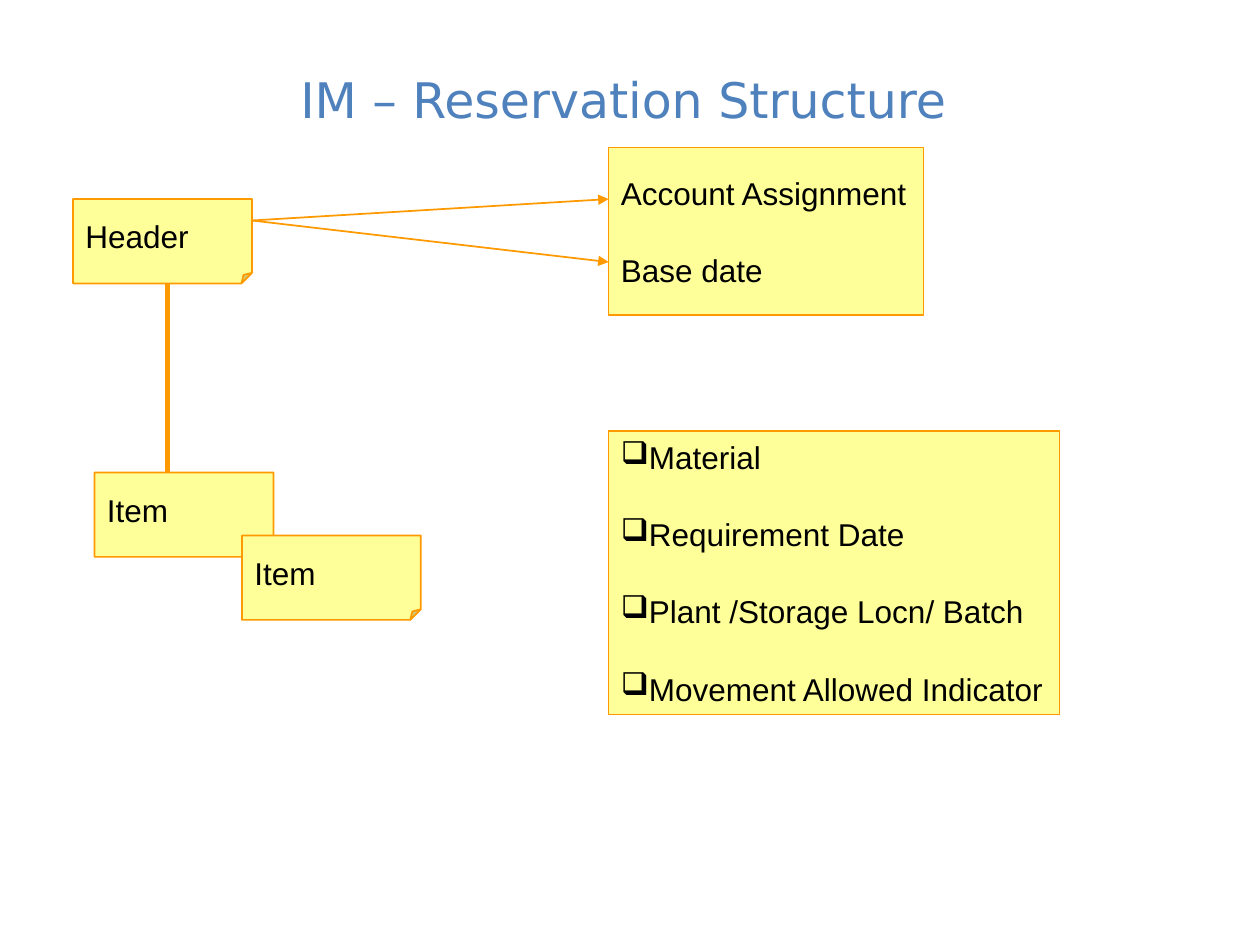
from pptx import Presentation
from pptx.dml.color import RGBColor
from pptx.enum.shapes import MSO_CONNECTOR, MSO_SHAPE
from pptx.enum.text import MSO_ANCHOR, PP_ALIGN
from pptx.oxml.ns import qn
from pptx.util import Inches, Pt
from lxml import etree

RECTANGLE = MSO_SHAPE.RECTANGLE
FOLDED_CORNER = MSO_SHAPE.FOLDED_CORNER
STRAIGHT = MSO_CONNECTOR.STRAIGHT
MIDDLE = MSO_ANCHOR.MIDDLE
LEFT = PP_ALIGN.LEFT
CENTER = PP_ALIGN.CENTER

COLORS = {
    "title": "4F81BD",
    "text": "000000",
    "note": "FFFF99",
    "accent": "FF9900",
}
CARD_SIZE = (1.42, 0.67)


def color(name):
    return RGBColor.from_string(COLORS[name])


def write_text(frame, lines, size=18, font="Arial", ink="text",
               align=LEFT, wrap=False, gap=0, bullet=None):
    frame.word_wrap = wrap
    frame.vertical_anchor = MIDDLE
    for index, line in enumerate(lines):
        para = frame.add_paragraph() if index else frame.paragraphs[0]
        para.alignment = align
        if index:
            para.space_before = Pt(gap)
        if bullet:
            properties = para._p.get_or_add_pPr()
            etree.SubElement(properties, qn("a:buChar")).set("char", bullet)
        span = para.add_run()
        span.text = line
        span.font.size = Pt(size)
        span.font.name = font
        span.font.color.rgb = color(ink)


def add_title(page, box, text):
    title = page.shapes.add_textbox(*map(Inches, box))
    write_text(title.text_frame, [text], size=28, font="DejaVu Sans",
               ink="title", align=CENTER, wrap=True)


def add_note(page, box, lines, kind=RECTANGLE, **text_format):
    note = page.shapes.add_shape(kind, *map(Inches, box))
    note.shadow.inherit = False
    note.fill.solid()
    note.fill.fore_color.rgb = color("note")
    note.line.color.rgb = color("accent")
    note.line.width = Pt(1)
    write_text(note.text_frame, lines, **text_format)
    return note


def add_card(page, box, text):
    card = add_note(page, box, [text], kind=FOLDED_CORNER)
    guides = card._element.spPr.find(qn("a:prstGeom")).find(qn("a:avLst"))
    for guide in list(guides):
        guides.remove(guide)
    fold = etree.SubElement(guides, qn("a:gd"))
    fold.set("name", "adj")
    fold.set("fmla", "val 12500")


def add_line(page, start, end, width=1, arrow=False):
    line = page.shapes.add_connector(STRAIGHT, *map(Inches, start + end))
    line.line.color.rgb = color("accent")
    line.line.width = Pt(width)
    if arrow:
        outline = line.line._get_or_add_ln()
        etree.SubElement(outline, qn("a:tailEnd")).set("type", "triangle")
    etree.SubElement(line._element.spPr, qn("a:effectLst"))


def add_hierarchy(page, left, top):
    cards = [("Header", 0, 0), ("Item", 0.17, 2.17), ("Item", 1.34, 2.67)]
    for text, across, down in cards:
        add_card(page, (left + across, top + down, *CARD_SIZE), text)
    trunk = left + 0.75
    add_line(page, (trunk, top + CARD_SIZE[1]), (trunk, top + 2.17), width=3)


def add_header_links(page, start, left, tops):
    for top in tops:
        add_line(page, start, (left, top), arrow=True)


def main():
    deck = Presentation()
    deck.slide_width = Inches(10)
    deck.slide_height = Inches(7.5)
    page = deck.slides.add_slide(deck.slide_layouts[6])

    add_title(page, (0.17, 0.42, 9.55, 0.73), "IM – Reservation Structure")
    add_note(page, (4.83, 1.17, 2.5, 1.33),
             ["Account Assignment", "Base date"], gap=22.5)
    add_note(page, (4.83, 3.42, 3.58, 2.25),
             ["Material", "Requirement Date", "Plant /Storage Locn/ Batch",
              "Movement Allowed Indicator"], gap=22.5, bullet="❑")
    add_hierarchy(page, 0.58, 1.58)
    add_header_links(page, (2, 1.75), 4.83, (1.58, 2.08))

    deck.save("out.pptx")


if __name__ == "__main__":
    main()
